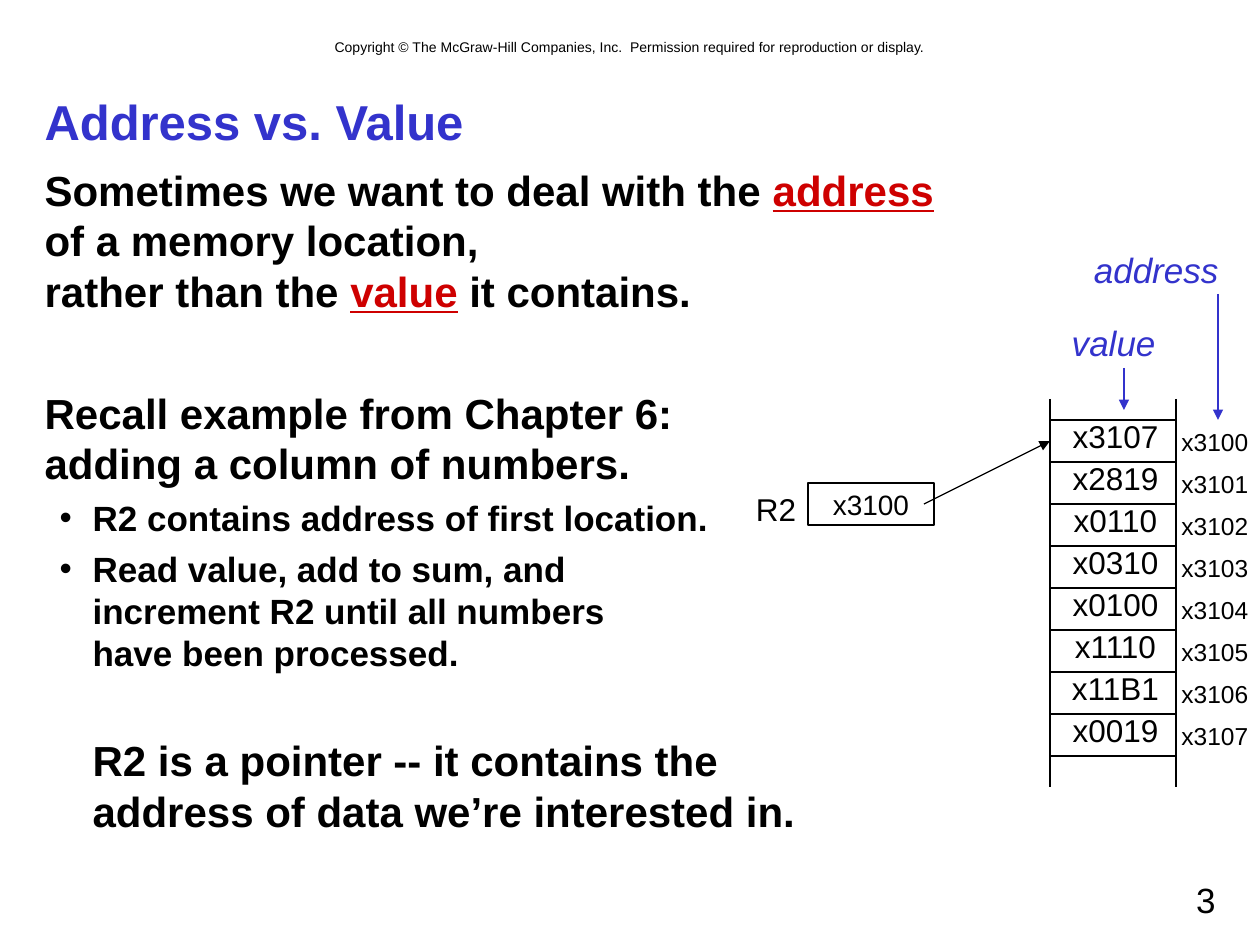
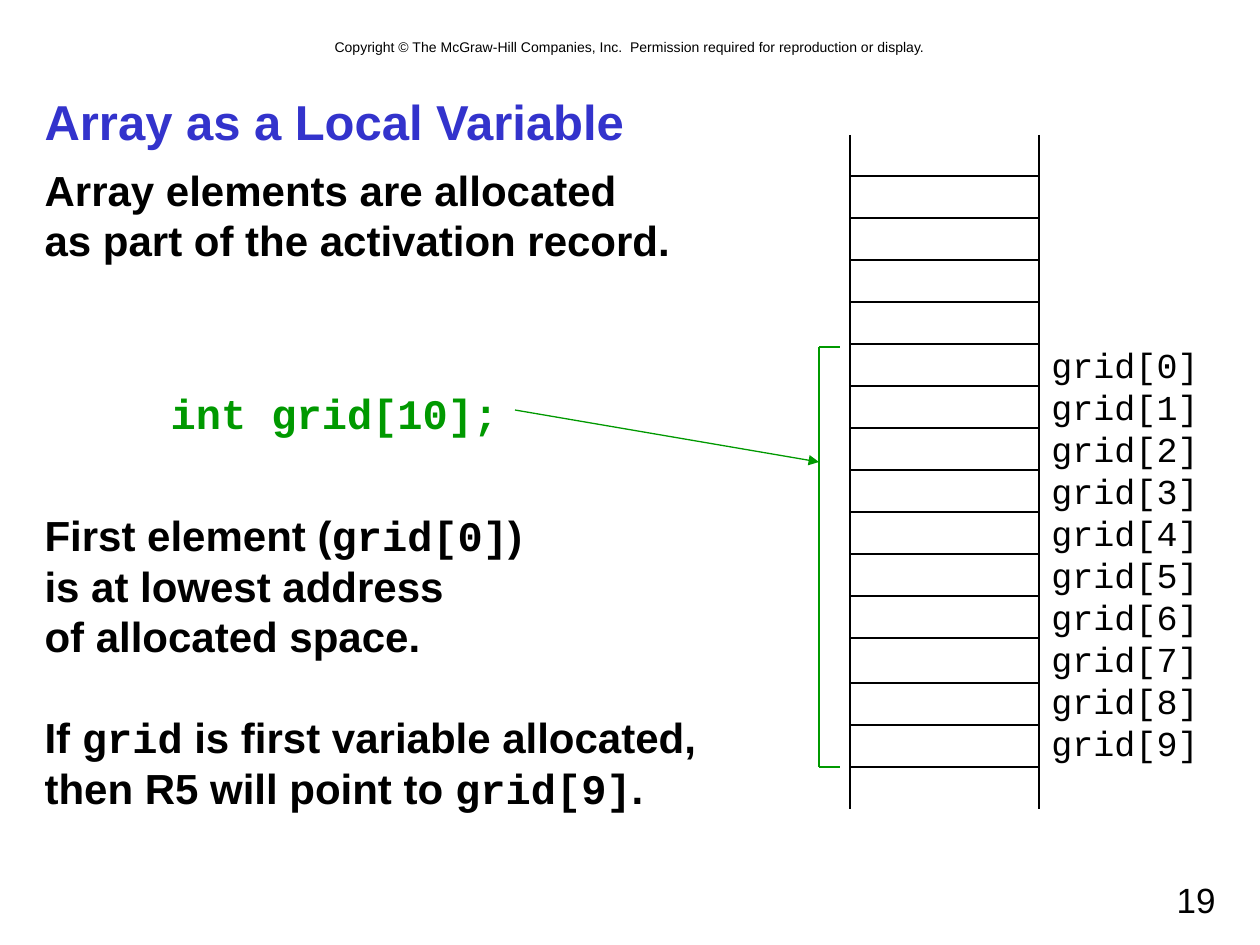
"""Build two lecture slides on addresses, values and local arrays."""
from dataclasses import dataclass

from lxml.etree import SubElement
from pptx import Presentation
from pptx.dml.color import RGBColor
from pptx.enum.shapes import MSO_CONNECTOR, MSO_SHAPE
from pptx.enum.text import MSO_ANCHOR, MSO_AUTO_SIZE, PP_ALIGN
from pptx.oxml.ns import qn
from pptx.presentation import Presentation as Deck
from pptx.shapes.base import BaseShape
from pptx.slide import Slide
from pptx.text.text import Font, TextFrame
from pptx.util import Emu, Pt

PIXELS_PER_INCH = 126
ROW = 42
BLACK, BLUE, RED, GREEN = "000000", "3333CC", "CE0000", "009900"
SANS, MONO = "Arial", "Courier New"
LEFT, CENTER, RIGHT = PP_ALIGN.LEFT, PP_ALIGN.CENTER, PP_ALIGN.RIGHT
COPYRIGHT = "Copyright © The McGraw-Hill Companies, Inc.  Permission required for reproduction or display."


@dataclass(frozen=True)
class Area:
    left: int
    top: int
    width: int
    height: int


@dataclass(frozen=True)
class Style:
    size: int
    color: str = BLACK
    name: str = SANS
    bold: bool = False
    italic: bool = False


@dataclass(frozen=True)
class Span:
    text: str
    color: str = ""
    name: str = ""
    underline: bool = False


@dataclass(frozen=True)
class Para:
    spans: tuple[Span, ...]
    style: Style
    before: int = 0
    indent: int = 0
    hanging: int = 0
    align: PP_ALIGN = LEFT


@dataclass(frozen=True)
class Line:
    start: tuple[int, int]
    end: tuple[int, int]
    color: str = BLACK
    arrow: bool = False


@dataclass(frozen=True)
class Label:
    text: str
    area: Area
    style: Style
    align: PP_ALIGN = CENTER
    wrap: bool = False


@dataclass(frozen=True)
class Memory:
    left: int
    right: int
    top: int
    bottom: int
    rungs: tuple[int, ...]


TITLE = Style(28, BLUE, bold=True)
BODY = Style(24, bold=True)
BULLET = Style(20, bold=True)
CODE = Style(24, GREEN, MONO, bold=True)
CELL = Style(18)
ADDRESS = Style(14)
CAPTION = Style(20, BLUE, italic=True)


def px(length: int) -> Emu:
    """Turn pixels into EMU."""
    return Emu(round(length * 914400 / PIXELS_PER_INCH))


def rgb(color: str) -> RGBColor:
    """Turn a hex string into a colour."""
    return RGBColor.from_string(color)


def place(shape: BaseShape, area: Area) -> None:
    """Move and size a shape."""
    shape.left, shape.top = px(area.left), px(area.top)
    shape.width, shape.height = px(area.width), px(area.height)


def set_font(font: Font, style: Style) -> None:
    """Apply a style to a font."""
    font.name, font.size = style.name, Pt(style.size)
    font.bold, font.italic = style.bold, style.italic
    font.color.rgb = rgb(style.color)


def write(frame: TextFrame, paras: list[Para], wrap: bool = True) -> None:
    """Fill a text frame with styled paragraphs."""
    frame.word_wrap = wrap
    frame.auto_size = MSO_AUTO_SIZE.NONE
    for number, para in enumerate(paras):
        paragraph = frame.add_paragraph() if number else frame.paragraphs[0]
        paragraph.alignment = para.align
        paragraph.space_before = Pt(para.before)
        properties = paragraph._p.get_or_add_pPr()
        properties.set("marL", str(px(para.indent)))
        properties.set("indent", str(px(-para.hanging)))
        if para.hanging:
            SubElement(properties, qn("a:buFont")).set("typeface", SANS)
            SubElement(properties, qn("a:buChar")).set("char", "•")
        else:
            SubElement(properties, qn("a:buNone"))
        set_font(paragraph.font, para.style)
        for span in para.spans:
            for row, text in enumerate(span.text.split("\n")):
                if row:
                    paragraph.add_line_break()
                if not text:
                    continue
                run = paragraph.add_run()
                run.text = text
                if span.color:
                    run.font.color.rgb = rgb(span.color)
                if span.name:
                    run.font.name = span.name
                if span.underline:
                    run.font.underline = True


def plain(text: str, style: Style, before: int = 0, indent: int = 0,
          hanging: int = 0, align: PP_ALIGN = LEFT) -> Para:
    """Make a paragraph of a single span."""
    return Para((Span(text),), style, before, indent, hanging, align)


def draw_label(slide: Slide, label: Label) -> None:
    """Draw a text box, one paragraph to a line."""
    area = label.area
    box = slide.shapes.add_textbox(px(area.left), px(area.top), px(area.width), px(area.height))
    paras = [plain(text, label.style, align=label.align) for text in label.text.split("\n")]
    write(box.text_frame, paras, label.wrap)


def draw_line(slide: Slide, line: Line) -> None:
    """Draw a thin line, with an arrowhead if asked."""
    ends = [px(length) for length in (*line.start, *line.end)]
    connector = slide.shapes.add_connector(MSO_CONNECTOR.STRAIGHT, *ends)
    connector.line.color.rgb = rgb(line.color)
    connector.line.width = Pt(0.75)
    if line.arrow:
        SubElement(connector.line._get_or_add_ln(), qn("a:tailEnd")).set("type", "triangle")
    SubElement(connector._element.spPr, qn("a:effectLst"))


def draw_memory(slide: Slide, memory: Memory) -> None:
    """Draw a column of memory cells open at both ends."""
    for side in (memory.left, memory.right):
        draw_line(slide, Line((side, memory.top), (side, memory.bottom)))
    for rung in memory.rungs:
        draw_line(slide, Line((memory.left, rung), (memory.right, rung)))


def draw_register(slide: Slide, text: str, area: Area) -> None:
    """Draw an outlined register holding a value."""
    box = slide.shapes.add_shape(MSO_SHAPE.RECTANGLE, 0, 0, 0, 0)
    place(box, area)
    box.shadow.inherit = False
    box.fill.background()
    box.line.color.rgb = rgb(BLACK)
    box.line.width = Pt(0.75)
    box.text_frame.vertical_anchor = MSO_ANCHOR.MIDDLE
    write(box.text_frame, [plain(text, Style(16), align=CENTER)], wrap=False)


def add_page(deck: Deck, number: int, title: str, area: Area, paras: list[Para]) -> Slide:
    """Add a slide with copyright line, title, body and page number."""
    slide = deck.slides.add_slide(deck.slide_layouts[1])
    heading, body = slide.placeholders
    place(heading, Area(32, 84, 1197, 73))
    heading.text_frame.vertical_anchor = MSO_ANCHOR.MIDDLE
    write(heading.text_frame, [plain(title, TITLE)])
    place(body, area)
    write(body.text_frame, paras)
    draw_label(slide, Label(COPYRIGHT, Area(84, 32, 1092, 30), Style(8), wrap=True))
    draw_label(slide, Label(str(number), Area(903, 872, 325, 53), Style(20), RIGHT, True))
    return slide


def build_address_page(deck: Deck) -> None:
    """Build the slide on addresses and values."""
    paras = [
        Para((Span("Sometimes we want to deal with the "), Span("address\n", RED, underline=True),
              Span("of a memory location,\nrather than the "), Span("value", RED, underline=True),
              Span(" it contains.")), BODY),
        plain("Recall example from Chapter 6:\nadding a column of numbers.", BODY, 41),
        plain("R2 contains address of first location.", BULLET, 5, 48, 33),
        plain("Read value, add to sum, and\nincrement R2 until all numbers\nhave been processed.",
              BULLET, 5, 48, 33),
        plain("R2 is a pointer -- it contains the\naddress of data we’re interested in.",
              BODY, 35, 48),
    ]
    slide = add_page(deck, 3, "Address vs. Value", Area(32, 158, 1092, 756), paras)
    values = ("x3107", "x2819", "x0110", "x0310", "x0100", "x1110", "x11B1", "x0019")
    rungs = tuple(420 + ROW * row for row in range(len(values) + 1))
    draw_memory(slide, Memory(1050, 1176, 399, 787, rungs))
    for row, (value, rung) in enumerate(zip(values, rungs)):
        draw_label(slide, Label(value, Area(1060, rung - 9, 111, 50), CELL))
        draw_label(slide, Label(f"x310{row}", Area(1169, rung + 1, 92, 42), ADDRESS, LEFT))
    draw_register(slide, "x3100", Area(808, 483, 126, 42))
    draw_label(slide, Label("R2", Area(743, 484, 66, 50), CELL))
    draw_label(slide, Label("address", Area(1081, 242, 150, 55), CAPTION, RIGHT))
    draw_label(slide, Label("value", Area(1060, 315, 108, 55), CAPTION, RIGHT))
    for line in (Line((924, 504), (1050, 441), arrow=True),
                 Line((1218, 294), (1218, 420), BLUE, True),
                 Line((1124, 368), (1124, 410), BLUE, True)):
        draw_line(slide, line)


def build_array_page(deck: Deck) -> None:
    """Build the slide on a local array."""
    paras = [
        plain("Array elements are allocated\nas part of the activation record.", BODY),
        plain("int grid[10];", CODE, 70, 126),
        Para((Span("First element ("), Span("grid[0]", name=MONO),
              Span(")\nis at lowest address\nof allocated space.")), BODY, 41),
        Para((Span("If "), Span("grid", name=MONO),
              Span(" is first variable allocated,\nthen R5 will point to "),
              Span("grid[9]", name=MONO), Span(".")), BODY, 29),
    ]
    slide = add_page(deck, 19, "Array as a Local Variable", Area(32, 158, 1197, 683), paras)
    rungs = (*range(176, 640, ROW), *range(683, 768, ROW))
    draw_memory(slide, Memory(850, 1039, 135, 809, rungs))
    names = "\n".join(f"grid[{index}]" for index in range(10))
    draw_label(slide, Label(names, Area(1039, 337, 173, 433), Style(20, name=MONO), LEFT))
    for line in (Line((840, 347), (819, 347), GREEN),
                 Line((819, 347), (819, 767), GREEN),
                 Line((819, 767), (840, 767), GREEN),
                 Line((515, 410), (819, 462), GREEN, True)):
        draw_line(slide, line)


def main() -> None:
    """Build and save the deck."""
    deck = Presentation()
    deck.slide_width, deck.slide_height = px(1260), px(945)
    build_address_page(deck)
    build_array_page(deck)
    deck.save("out.pptx")


if __name__ == "__main__":
    main()
